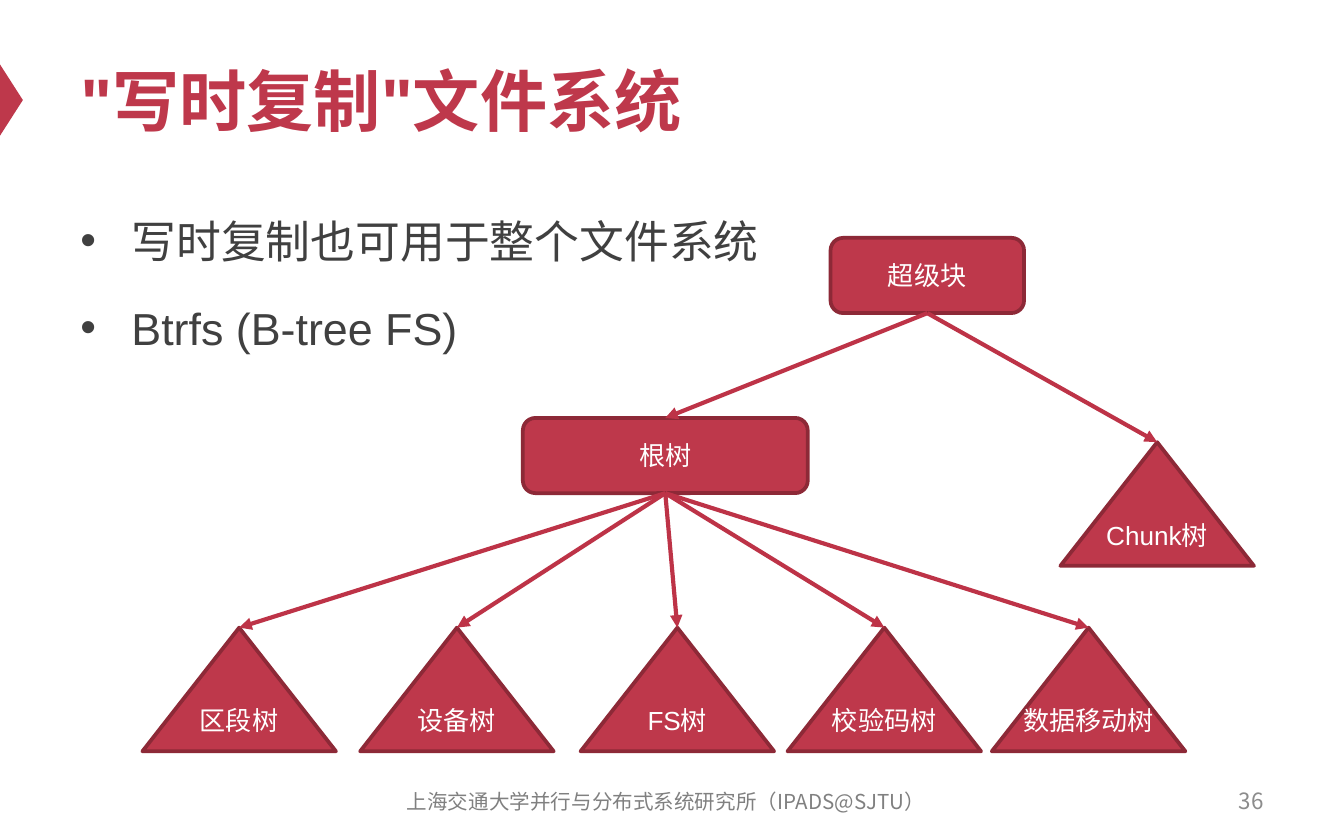
import pptx
import pptx.dml.color
import pptx.enum.shapes
import pptx.enum.text
import pptx.oxml
import pptx.oxml.ns
import pptx.util

PX = 9144
COLORS = {"red": "BE384B", "edge": "8D2937", "arrow": "BD3347", "body": "404040",
          "footer": "808080", "number": "8C8C8C", "white": "FFFFFF"}
CJK_FONT = "Noto Sans CJK SC"
SHAPES = pptx.enum.shapes.MSO_SHAPE
ALIGN = pptx.enum.text.PP_ALIGN
MIDDLE = pptx.enum.text.MSO_ANCHOR.MIDDLE


def scaled(*lengths):
    """Turn px lengths into EMU."""
    return [pptx.util.Emu(length * PX) for length in lengths]


def rgb(name):
    """Look up a named colour."""
    return pptx.dml.color.RGBColor.from_string(COLORS[name])


def apply(target, values):
    """Set attributes from a dict of format values."""
    for key, value in values.items():
        setattr(target, key, value)


def add_child(parent, tag, **attributes):
    """Append a drawing element with attributes."""
    child = parent.makeelement(pptx.oxml.ns.qn(tag), attributes)
    parent.append(child)
    return child


def write(paragraph, wording, size, color, font="Arial", bold=False, align=ALIGN.LEFT):
    """Write one formatted run into a paragraph."""
    paragraph.alignment = align
    run = paragraph.add_run()
    run.text = wording
    apply(run.font, {"size": pptx.util.Pt(size), "name": font, "bold": bold})
    run.font.color.rgb = rgb(color)
    add_child(run.font._element, "a:ea", typeface=CJK_FONT)


def text_frame(slide, box, anchor=MIDDLE):
    """Add a wrapping text box and return its frame."""
    frame = slide.shapes.add_textbox(*scaled(*box)).text_frame
    apply(frame, {"word_wrap": True, "vertical_anchor": anchor})
    return frame


def filled_shape(slide, preset, box):
    """Add a red preset shape without a shadow or an outline."""
    shape = slide.shapes.add_shape(preset, *scaled(*box))
    shape.shadow.inherit = False
    shape.fill.solid()
    shape.fill.fore_color.rgb = rgb("red")
    shape.line.fill.background()
    return shape


def heading(slide, box, title):
    """Place the edge marker and the slide title."""
    left, top, width, height = box
    marker = filled_shape(slide, SHAPES.ISOSCELES_TRIANGLE, (left - 18, top + 41, 53, 17))
    marker.rotation = 90
    frame = text_frame(slide, (left + 50, top, width - 100, height))
    write(frame.paragraphs[0], title, 36, "red", bold=True)


def bullet_list(slide, box, points):
    """Place the bulleted points."""
    frame = text_frame(slide, box, pptx.enum.text.MSO_ANCHOR.TOP)
    for index, point in enumerate(points):
        paragraph = frame.add_paragraph() if index else frame.paragraphs[0]
        paragraph.line_spacing = 1.2
        if index:
            paragraph.space_before = pptx.util.Pt(12)
        properties = paragraph._p.get_or_add_pPr()
        indent = 38 * PX
        properties.set("marL", str(indent))
        properties.set("indent", str(-indent))
        add_child(properties, "a:buFont", typeface="Arial")
        add_child(properties, "a:buChar", char="•")
        write(paragraph, point, 24, "body")


def footer(slide, box, institute, number):
    """Place the institute and the page number."""
    left, top, width, height = box
    centre = text_frame(slide, (left + 279, top + 1, 433, height))
    write(centre.paragraphs[0], institute, 11, "footer", CJK_FONT, align=ALIGN.CENTER)
    page = text_frame(slide, (left + width - 283, top, 233, height))
    write(page.paragraphs[0], number, 12, "number", CJK_FONT, align=ALIGN.RIGHT)


def node(slide, preset, box, label):
    """Add one labelled node of the tree."""
    shape = filled_shape(slide, preset, box)
    apply(shape.line, {"width": pptx.util.Pt(2)})
    shape.line.color.rgb = rgb("edge")
    apply(shape.text_frame, {"vertical_anchor": MIDDLE,
                             "word_wrap": preset == SHAPES.ROUNDED_RECTANGLE})
    write(shape.text_frame.paragraphs[0], label, 14, "white", align=ALIGN.CENTER)
    return shape


def arrow(slide, parent, child):
    """Link the bottom of a parent to the top of a child."""
    link = slide.shapes.add_connector(pptx.enum.shapes.MSO_CONNECTOR.STRAIGHT, 0, 0, 0, 0)
    link.begin_connect(parent, 2)
    link.end_connect(child, 0)
    link.line.width = pptx.util.Pt(2.25)
    link.line.color.rgb = rgb("arrow")
    add_child(link.line._get_or_add_ln(), "a:tailEnd", type="triangle")
    add_child(link._element.spPr, "a:effectLst")


def tree_diagram(slide, box):
    """Draw the file system forest inside its box."""
    left, top, width, height = box
    tree_width, tree_height, block_height = 144, 92, 56
    block, tree = SHAPES.ROUNDED_RECTANGLE, SHAPES.ISOSCELES_TRIANGLE
    superblock = node(slide, block, (left + 512, top, 144, block_height), "超级块")
    root = node(slide, block, (left + 283, top + 134, 212, block_height), "根树")
    chunk = node(slide, tree, (left + width - tree_width, top + 152, tree_width, tree_height),
                 "Chunk树")
    leaves = [node(slide, tree, (left + offset, top + height - tree_height,
                                 tree_width, tree_height), label)
              for offset, label in ((0, "区段树"), (162, "设备树"), (326, "FS树"),
                                    (480, "校验码树"), (632, "数据移动树"))]
    for child in (root, chunk):
        arrow(slide, superblock, child)
    for leaf in reversed(leaves):
        arrow(slide, root, leaf)


def main():
    """Build and save the slide."""
    deck = pptx.Presentation()
    deck.slide_width, deck.slide_height = scaled(1000, 625)
    slide = deck.slides.add_slide(deck.slide_layouts[6])
    heading(slide, (0, 25, 1000, 98), '"写时复制"文件系统')
    bullet_list(slide, (50, 146, 900, 412), ("写时复制也可用于整个文件系统", "Btrfs (B-tree FS)"))
    footer(slide, (0, 579, 1000, 33), "上海交通大学并行与分布式系统研究所（IPADS@SJTU）", "36")
    tree_diagram(slide, (106, 177, 827, 382))
    deck.save("out.pptx")


if __name__ == "__main__":
    main()
